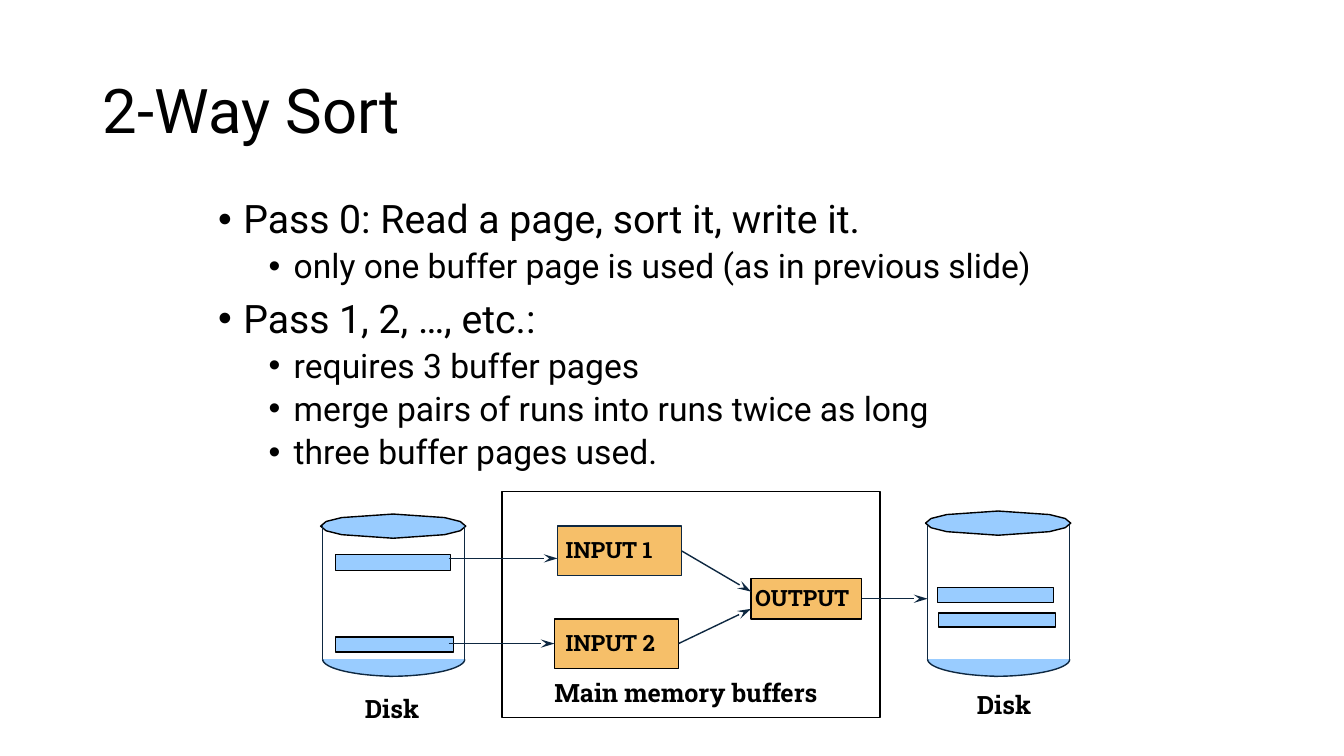
import math
import pptx
import pptx.util
import pptx.dml.color
import pptx.enum.shapes
import pptx.enum.text
import pptx.oxml
import pptx.oxml.ns
import lxml.etree

theme = {
    "ink": "000000", "navy": "0E2841", "blue": "99CCFF", "gold": "F6BF69",
    "sans": "Roboto", "slab": "Roboto Slab",
    "title": 44, "point": 28, "sub": 24, "label": 18, "box": 16, "line": 1,
}
color = {key: pptx.dml.color.RGBColor.from_string(theme[key])
         for key in ("ink", "navy", "blue", "gold")}
Pt = pptx.util.Pt
qn = pptx.oxml.ns.qn
unit = pptx.util.Inches(0.1)
middle = pptx.enum.text.MSO_ANCHOR.MIDDLE

deck = pptx.Presentation()
deck.slide_width = pptx.util.Inches(13.33)
deck.slide_height = pptx.util.Inches(7.5)
slide = deck.slides.add_slide(deck.slide_layouts[6])
shapes = slide.shapes


def style(shape, fill, line):
    shape.shadow.inherit = False
    if fill:
        shape.fill.solid()
        shape.fill.fore_color.rgb = color[fill]
    else:
        shape.fill.background()
    shape.line.color.rgb = color[line]
    shape.line.width = Pt(theme["line"])


def write(part, text, size, face, bold=False):
    part.text = text
    part.alignment = pptx.enum.text.PP_ALIGN.LEFT
    part.font.size = Pt(theme[size])
    part.font.name = theme[face]
    part.font.bold = bold
    part.font.color.rgb = color["ink"]


head = shapes.add_textbox(*[round(n * unit) for n in (9.2, 4, 115, 14.5)]).text_frame
head.word_wrap = True
head.vertical_anchor = middle
write(head.paragraphs[0], "2-Way Sort", "title", "sans")
head.paragraphs[0].line_spacing = 0.9

points = [
    (0, "Pass 0: Read a page, sort it, write it."),
    (1, "only one buffer page is used (as in previous slide)"),
    (0, "Pass 1, 2, …, etc.:"),
    (1, "requires 3 buffer pages"),
    (1, "merge pairs of runs into runs twice as long"),
    (1, "three buffer pages used."),
]
body = shapes.add_textbox(*[round(n * unit) for n in (20.65, 19.35, 95.8, 54.2)]).text_frame
body.word_wrap = True
for row, (level, text) in enumerate(points):
    part = body.add_paragraph() if row else body.paragraphs[0]
    write(part, text, "sub" if level else "point", "sans")
    part.level = level
    part.line_spacing = 0.9
    part.space_before = Pt(5 if level else 10)
    props = part._p.get_or_add_pPr()
    props.set("marL", str(round((2.5 + 5 * level) * unit)))
    props.set("indent", str(round(-2.5 * unit)))
    lxml.etree.SubElement(props, qn("a:buFont")).set("typeface", "Arial")
    lxml.etree.SubElement(props, qn("a:buChar")).set("char", "•")

boxes = {}
for name, left, top, wide, high, fill, line, text, inset in [
    ("frame", 49.8, 48.75, 37.5, 22.45, None, "ink", "", 0),
    ("strip 1", 33.3, 55, 11.4, 1.6, "blue", "ink", "", 0),
    ("strip 2", 33.3, 63.2, 11.7, 1.5, "blue", "ink", "", 0),
    ("strip 3", 93, 58.3, 11.5, 1.5, "blue", "ink", "", 0),
    ("strip 4", 93.1, 60.8, 11.6, 1.4, "blue", "ink", "", 0),
    ("in 1", 55.3, 52.2, 12.3, 4.9, "gold", "navy", "INPUT 1", 0.8),
    ("in 2", 55, 61.4, 12.3, 4.9, "gold", "ink", "INPUT 2", 1.1),
    ("out", 74.5, 57.4, 10.95, 4, "gold", "ink", "OUTPUT", 0.4),
]:
    box = shapes.add_shape(pptx.enum.shapes.MSO_SHAPE.RECTANGLE,
                           *[round(n * unit) for n in (left, top, wide, high)])
    style(box, fill, line)
    boxes[name] = box
    if text:
        frame = box.text_frame
        frame.word_wrap = False
        frame.vertical_anchor = middle
        frame.margin_left = round(inset * unit)
        frame.margin_right = frame.margin_top = 0
        frame.margin_bottom = round(0.2 * unit)
        write(frame.paragraphs[0], text, "box", "slab", True)

for text, left, top, wide, wrap in [
    ("Main memory buffers", 54, 66.7, 32.7, True),
    ("Disk", 35.2, 68.25, 7.8, False),
    ("Disk", 95.9, 67.9, 7.8, False),
]:
    frame = shapes.add_textbox(*[round(n * unit) for n in (left, top, wide, 4)]).text_frame
    frame.word_wrap = wrap
    write(frame.paragraphs[0], text, "label", "slab", True)

wires = []
for left, lid in [(32, 52.2), (92, 51.9)]:
    ring = [(left + 7 + 7.2 * math.cos(math.radians(turn)),
             lid + 1.2 * math.sin(math.radians(turn)))
            for turn in (0, 22.5, 45, 90, 135, 157.5, 180, 202.5, 225, 270, 315, 337.5)]
    base = [(left + (6.6 if turn <= 90 else 7.5) + 7.5 * math.cos(math.radians(turn)),
             65.4 + 1.7 * math.sin(math.radians(turn)))
            for turn in range(0, 181, 5)]
    for dots, shut, line in [(ring, True, "ink"), (base, False, "navy")]:
        path = [(round(x * unit), round(y * unit)) for x, y in dots]
        pen = shapes.build_freeform(*path[0])
        pen.add_line_segments(path[1:], close=shut)
        style(pen.convert_to_shape(), "blue", line)
    wires += [(x, 52.1, x, 65.4, None, None, False) for x in (left, left + 14.1)]

wires += [
    (44.5, 55.4, 55.3, 55.4, None, None, True),
    (44.5, 63.85, 55, 63.85, None, "in 2", True),
    (67.6, 54.6, 74.5, 58.7, "in 1", None, True),
    (67.3, 63.8, 74.5, 60.4, "in 2", None, True),
    (85.5, 59.4, 92, 59.4, "out", None, True),
]
for x1, y1, x2, y2, start, end, tip in wires:
    wire = shapes.add_connector(pptx.enum.shapes.MSO_CONNECTOR.STRAIGHT,
                                *[round(n * unit) for n in (x1, y1, x2, y2)])
    if start:
        wire.begin_connect(boxes[start], 3)
    if end:
        wire.end_connect(boxes[end], 1)
    wire.line.color.rgb = color["navy"]
    wire.line.width = Pt(theme["line"])
    if tip:
        tail = lxml.etree.SubElement(wire.line._get_or_add_ln(), qn("a:tailEnd"))
        tail.set("type", "stealth")
        tail.set("len", "lg")
    lxml.etree.SubElement(wire._element.spPr, qn("a:effectLst"))

deck.save("out.pptx")
